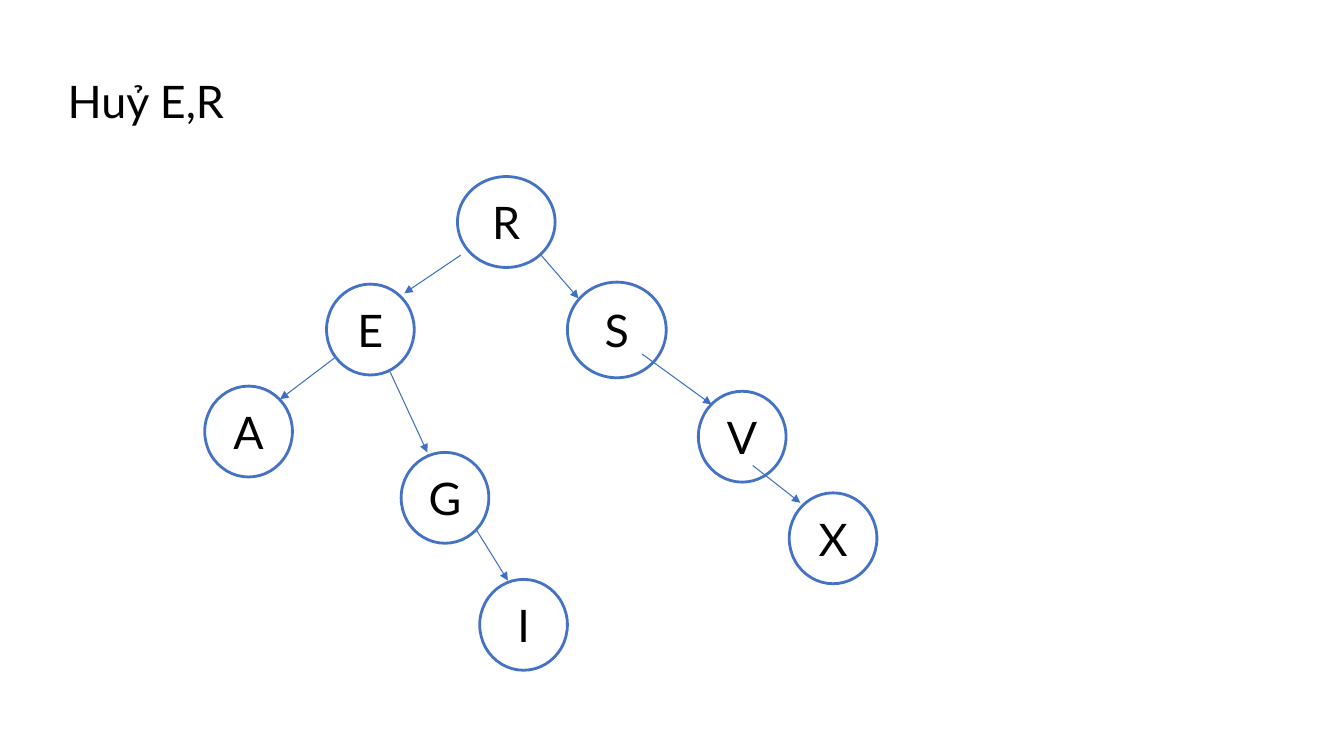
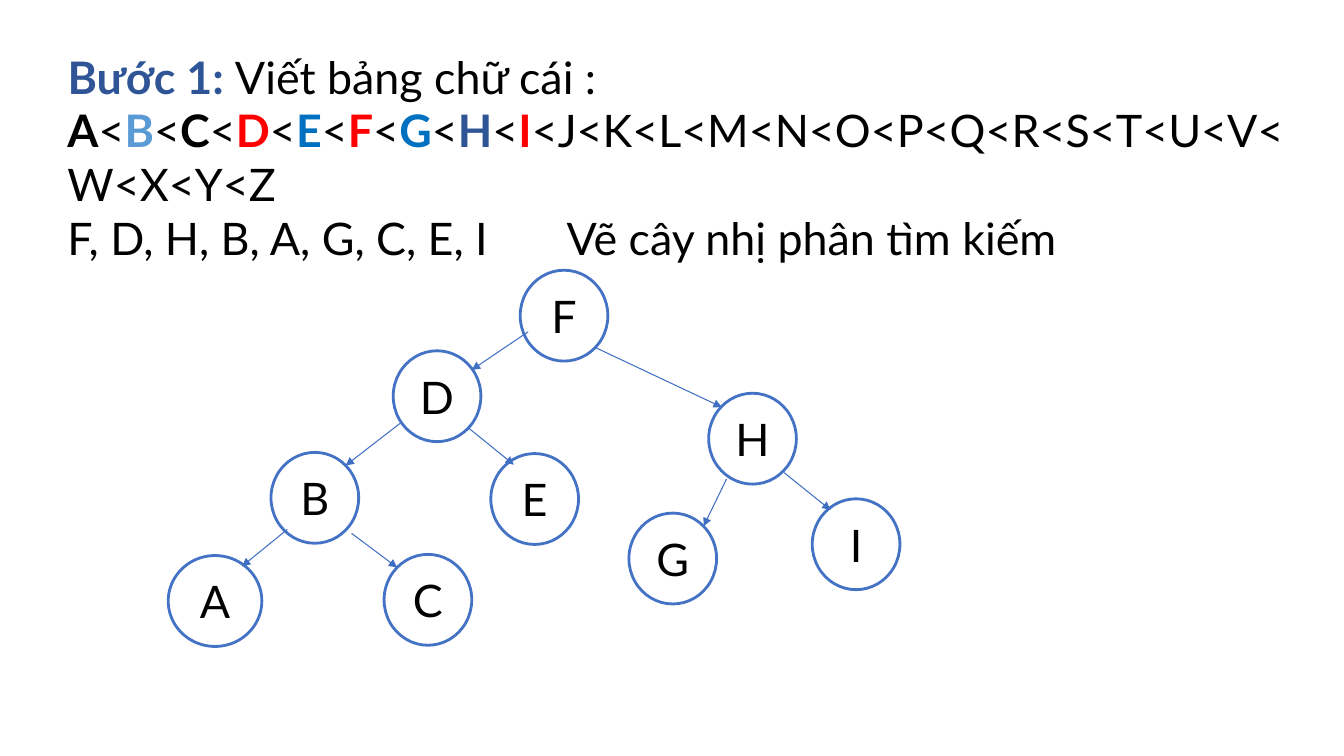
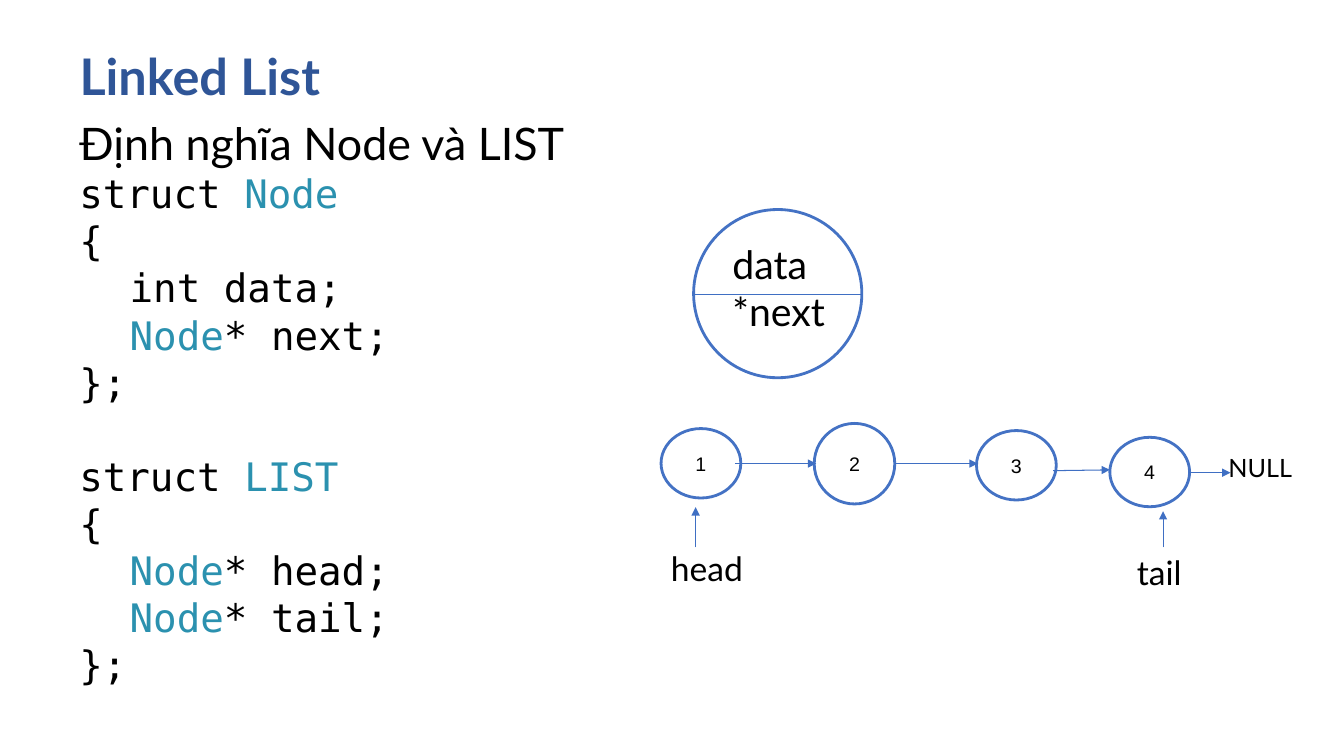
from lxml.etree import SubElement
from pptx import Presentation
from pptx.dml.color import RGBColor
from pptx.enum.shapes import MSO_CONNECTOR, MSO_SHAPE
from pptx.enum.text import MSO_ANCHOR, MSO_AUTO_SIZE, PP_ALIGN
from pptx.oxml import parse_xml
from pptx.oxml.ns import nsdecls, qn
from pptx.util import Cm, Pt

COLORS = {
    "black": "000000",
    "white": "FFFFFF",
    "navy": "2F5597",
    "sky": "5B9BD5",
    "blue": "0070C0",
    "red": "FF0000",
    "teal": "2B91AF",
    "outline": "4472C4",
    "arrow": "3F6FC3",
}
CODE_FONT = "DejaVu Sans Mono"
TREE_NODE = (2.21, 2.29)
LIST_NODE = (2.01, 1.75)


def write_text(text_frame, lines, size, font="Lato", align=PP_ALIGN.LEFT, anchor=MSO_ANCHOR.TOP):
    """Write lines, each a plain string or a list of (text, color, bold) runs."""
    text_frame.word_wrap = True
    text_frame.auto_size = MSO_AUTO_SIZE.NONE
    text_frame.vertical_anchor = anchor
    for index, line in enumerate(lines):
        paragraph = text_frame.paragraphs[0] if index == 0 else text_frame.add_paragraph()
        paragraph.alignment = align
        paragraph.font.name = font
        paragraph.font.size = Pt(size)
        runs = [(line, "black", False)] if isinstance(line, str) else line
        for text, color, bold in runs:
            run = paragraph.add_run()
            run.text = text
            run.font.bold = bold
            run.font.color.rgb = RGBColor.from_string(COLORS[color])


def add_line(slide, ends, arrow=True):
    connector = slide.shapes.add_connector(MSO_CONNECTOR.STRAIGHT, *[Cm(value) for value in ends])
    connector.line.color.rgb = RGBColor.from_string(COLORS["arrow"])
    connector.line.width = Pt(0.75)
    if arrow:
        line = connector.line._get_or_add_ln()
        SubElement(line, qn("a:tailEnd"), type="triangle")
    SubElement(connector._element.spPr, qn("a:effectLst"))


# Nodes: label, left, top, (width, height). Arrows: start x, y, end x, y. All in cm.
diagrams = [
    {
        "title": "Huỷ E,R",
        "title_box": (1.45, 1.73, 30.96, 1.63),
        "title_size": 32,
        "node_font": ("Lato", 32),
        "nodes": [
            ("R", 11.53, 4.45, (2.46, 2.29)),
            ("E", 8.23, 7.16, TREE_NODE),
            ("S", 14.3, 7.11, (2.49, 2.41)),
            ("A", 5.16, 9.73, TREE_NODE),
            ("G", 10.11, 11.4, TREE_NODE),
            ("V", 17.6, 9.86, TREE_NODE),
            ("I", 12.09, 14.6, TREE_NODE),
            ("X", 19.89, 12.42, TREE_NODE),
        ],
        "arrows": [
            (11.61, 6.43, 10.19, 7.39),
            (13.61, 6.4, 14.58, 7.52),
            (8.43, 9.02, 7.06, 10.06),
            (9.83, 9.37, 10.77, 11.4),
            (16.18, 8.92, 17.93, 10.19),
            (12.01, 13.36, 12.8, 14.63),
            (18.97, 11.73, 20.17, 12.67),
        ],
    },
    {
        "title": [("Bước 1: ", "navy", True), ("Viết bảng chữ cái :", "black", False)],
        "title_box": (1.45, 1.12, 31.5, 1.63),
        "title_size": 32,
        "node_font": ("Lato", 32),
        "nodes": [
            ("F", 13.11, 6.81, TREE_NODE),
            ("D", 9.91, 8.84, TREE_NODE),
            ("H", 17.86, 9.91, TREE_NODE),
            ("B", 6.83, 11.4, TREE_NODE),
            ("E", 12.37, 11.43, TREE_NODE),
            ("G", 15.85, 12.93, TREE_NODE),
            ("I", 20.47, 12.57, TREE_NODE),
            ("A", 4.24, 14, (2.36, 2.29)),
            ("C", 9.68, 13.97, TREE_NODE),
        ],
        "arrows": [
            (13.31, 8.36, 11.89, 9.32),
            (15.01, 8.76, 18.19, 10.26),
            (10.08, 10.67, 8.71, 11.73),
            (11.79, 10.77, 12.95, 11.71),
            (18.31, 12.07, 17.73, 13.26),
            (19.76, 11.91, 20.93, 12.85),
            (7.24, 13.34, 6.1, 14.27),
            (8.86, 13.44, 10.01, 14.3),
        ],
    },
    {
        "title": [("Linked List", "navy", True)],
        "title_box": (1.75, 1, 23.65, 1.8),
        "title_size": 36,
        "node_font": ("Arial", 14),
        "nodes": [
            ("", 17.48, 5.28, (4.24, 4.24)),
            ("1", 16.66, 10.8, LIST_NODE),
            ("2", 20.52, 10.67, (2.03, 2.03)),
            ("3", 24.61, 10.85, LIST_NODE),
            ("4", 27.97, 11.02, LIST_NODE),
        ],
        "arrows": [
            (18.52, 11.68, 20.57, 11.68),
            (22.56, 11.68, 24.64, 11.68),
            (26.54, 11.86, 27.97, 11.84),
            (29.97, 11.91, 31.01, 11.91),
            (17.53, 13.79, 17.53, 12.78),
            (29.31, 13.79, 29.31, 12.88),
        ],
    },
]

presentation = Presentation()
presentation.slide_width = Cm(33.87)
presentation.slide_height = Cm(19.05)
title_only = presentation.slide_layouts[5]

for diagram in diagrams:
    slide = presentation.slides.add_slide(title_only)
    title = slide.shapes.title
    title.left, title.top, title.width, title.height = [Cm(value) for value in diagram["title_box"]]
    write_text(title.text_frame, [diagram["title"]], diagram["title_size"])

    font, size = diagram["node_font"]
    for label, left, top, (width, height) in diagram["nodes"]:
        node = slide.shapes.add_shape(MSO_SHAPE.OVAL, Cm(left), Cm(top), Cm(width), Cm(height))
        node.shadow.inherit = False
        node.fill.solid()
        node.fill.fore_color.rgb = RGBColor.from_string(COLORS["white"])
        node.line.color.rgb = RGBColor.from_string(COLORS["outline"])
        node.line.width = Pt(2)
        if label:
            write_text(node.text_frame, [label], size, font, PP_ALIGN.CENTER, MSO_ANCHOR.MIDDLE)
    for ends in diagram["arrows"]:
        add_line(slide, ends)

delete_slide, alphabet_slide, list_slide = presentation.slides

# Alphabet with the letters of the tree highlighted
letter_colors = ["black", "sky", "black", "red", "blue", "red", "blue", "navy", "red"]
alphabet = []
for letter, color in zip("ABCDEFGHI", letter_colors):
    alphabet += [(letter, color, True), ("<", "black", False)]
alphabet.append(("<".join("JKLMNOPQRSTUVWXYZ"), "black", False))

alphabet_box = alphabet_slide.shapes.add_textbox(Cm(1.45), Cm(2.47), Cm(31.5), Cm(4.4))
write_text(
    alphabet_box.text_frame,
    [alphabet, "F, D, H, B, A, G, C, E, I\tVẽ cây nhị phân tìm kiếm"],
    32,
)
tab_stops = parse_xml(f'<a:tabLst {nsdecls("a")}><a:tab pos="{Cm(12.58)}" algn="l"/></a:tabLst>')
alphabet_box.text_frame.paragraphs[1]._p.get_or_add_pPr().insert(0, tab_stops)

# Struct definitions and labels of the linked list
pointer = ("\t", "black", False), ("Node", "teal", False)
code = [
    [("struct ", "black", False), ("Node", "teal", False)],
    "{",
    "\tint data;",
    [*pointer, ("* next;", "black", False)],
    "};",
    [("struct ", "black", False), ("LIST", "teal", False)],
    "{",
    [*pointer, ("* head;", "black", False)],
    [*pointer, ("* tail;", "black", False)],
    "};",
]
list_texts = [
    (["Định nghĩa Node và LIST"], (1.75, 2.79, 13.56, 1.63), 32, "Lato"),
    (code, (1.75, 4.15, 13.56, 13.6), 28, CODE_FONT),
    (["data", "*next"], (18.21, 5.94, 3.1, 2.64), 28, "Lato"),
    (["head"], (16.66, 13.67, 4.19, 1.27), 24, "Lato"),
    (["tail"], (28.4, 13.79, 2.31, 1.27), 24, "Lato"),
    (["NULL"], (30.71, 11.28, 2.31, 1.02), 18, "Lato"),
]
for lines, box, size, font in list_texts:
    text_box = list_slide.shapes.add_textbox(*[Cm(value) for value in box])
    write_text(text_box.text_frame, lines, size, font)
    if lines is code:
        text_box.text_frame.paragraphs[5].space_before = Pt(33.6)
add_line(list_slide, (17.48, 7.42, 21.72, 7.42), arrow=False)

presentation.save("out.pptx")
